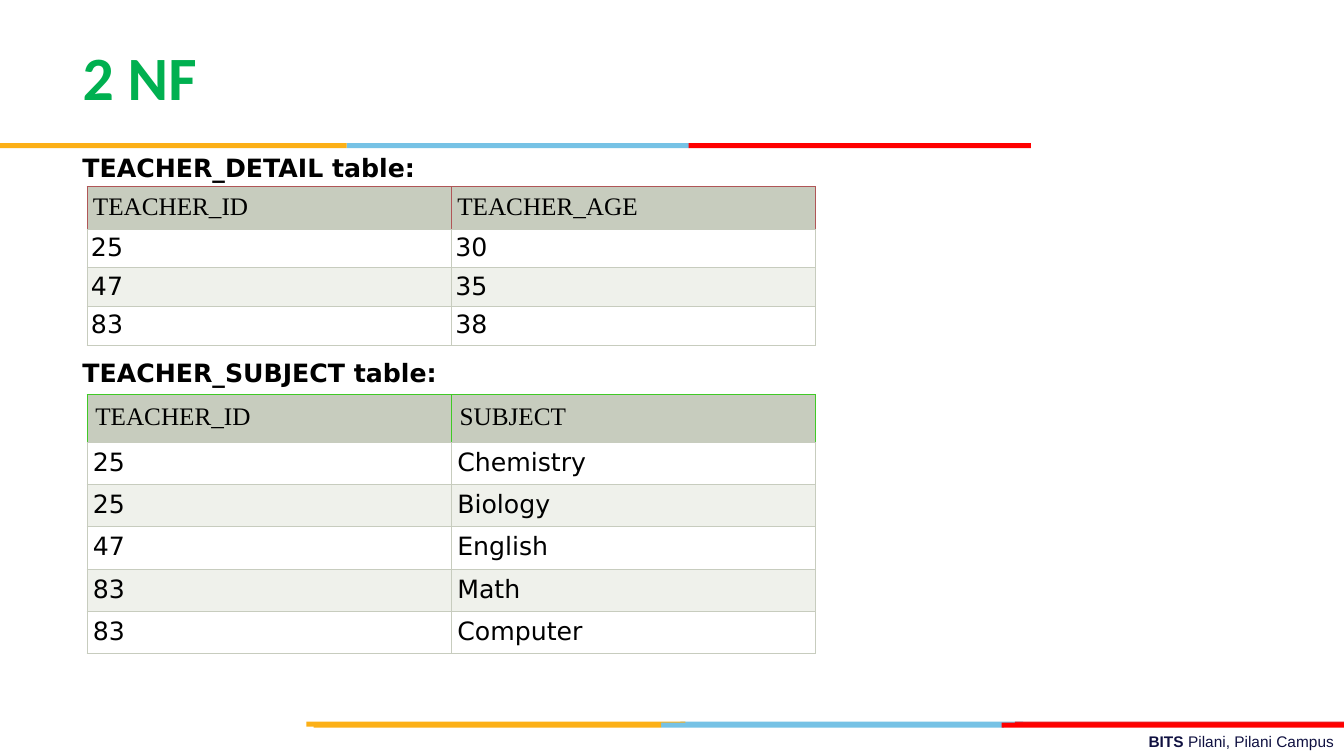
from lxml.etree import SubElement
from pptx import Presentation
from pptx.dml.color import RGBColor
from pptx.enum.shapes import MSO_SHAPE
from pptx.enum.text import MSO_ANCHOR, PP_ALIGN
from pptx.oxml.ns import qn
from pptx.util import Pt

# Content
TITLE = "2 NF"
FOOTER = [("BITS ", True), ("Pilani, Pilani Campus", False)]
CAPTIONS = [("TEACHER_DETAIL table:", 105.1, 262), ("TEACHER_SUBJECT table:", 252, 276)]
TABLES = [
    {"top": 133.4, "header_height": 30, "row_height": 27.65,
     "header_inset": 4.3, "body_inset": 2.9, "header_line": "B05657",
     "rows": [("TEACHER_ID", "TEACHER_AGE"), ("25", "30"), ("47", "35"), ("83", "38")]},
    {"top": 281.9, "header_height": 33.9, "row_height": 29.7,
     "header_inset": 6, "body_inset": 4.3, "header_line": "40C926",
     "rows": [("TEACHER_ID", "SUBJECT"), ("25", "Chemistry"), ("25", "Biology"),
              ("47", "English"), ("83", "Math"), ("83", "Computer")]},
]

# Layout: bars are (left, width, colour), grouped by top edge
YELLOW, BLUE, RED = "FCB017", "76C2E5", "FF0000"
BAR_HEIGHT = 3.6
BARS = [
    (515.5, [(486, 244.8, BLUE), (725, 235, "E31C24"), (218.9, 270.7, YELLOW)]),
    (516.2, [(472.3, 244.8, BLUE), (224, 248.3, YELLOW), (715.5, 244.5, RED)]),
    (102.2, [(247.7, 244.8, BLUE), (0, 247.7, YELLOW), (491.8, 244.5, RED)]),
]
TEXT_LEFT, TABLE_LEFT, COLUMN_WIDTH = 51.8, 62.1, 260.3
HEADER_FILL, BODY_FILLS = "C7CCBE", ("FFFFFF", "EFF1EB")
GRID_LINE = "C7CCBE"

# Text formats
TITLE_FORMAT = {"size": Pt(44), "name": "Calibri", "bold": True, "color": "00B050"}
CAPTION_FORMAT = {"size": Pt(18), "name": "DejaVu Sans", "bold": True, "color": "000000"}
HEADER_FORMAT = {"size": Pt(18), "name": "Times New Roman", "bold": False, "color": "000000"}
BODY_FORMAT = HEADER_FORMAT | {"name": "DejaVu Sans"}
FOOTER_FORMAT = {"size": Pt(11), "name": "Arial", "color": "101141"}


def paint(color_format, color):
    color_format.rgb = RGBColor.from_string(color)


def write(paragraph, text, text_format):
    run = paragraph.add_run()
    run.text = text
    for name, value in text_format.items():
        if name == "color":
            paint(run.font.color, value)
        else:
            setattr(run.font, name, value)


def place(shape, left, top, width, height):
    for name, value in zip(("left", "top", "width", "height"), (left, top, width, height)):
        setattr(shape, name, Pt(value))


def add_text_box(slide, left, top, width, height, wrap):
    text_frame = slide.shapes.add_textbox(Pt(left), Pt(top), Pt(width), Pt(height)).text_frame
    text_frame.word_wrap = wrap
    return text_frame.paragraphs[0]


def set_borders(cell, colors):
    properties = cell._tc.get_or_add_tcPr()
    for position, (side, color) in enumerate(zip("LRTB", colors)):
        line = SubElement(properties, qn(f"a:ln{side}"), w=str(Pt(0.5)))
        fill = SubElement(line, qn("a:solidFill"))
        SubElement(fill, qn("a:srgbClr"), val=color)
        properties.insert(position, line)


def add_data_table(slide, data):
    rows = data["rows"]
    heights = [data["header_height"]] + [data["row_height"]] * (len(rows) - 1)
    table = slide.shapes.add_table(
        len(rows), len(rows[0]), Pt(TABLE_LEFT), Pt(data["top"]),
        Pt(COLUMN_WIDTH * len(rows[0])), Pt(sum(heights))).table
    table.first_row = table.horz_banding = False
    for column in table.columns:
        column.width = Pt(COLUMN_WIDTH)
    for row_index, (values, height) in enumerate(zip(rows, heights)):
        is_header = row_index == 0
        table.rows[row_index].height = Pt(height)
        inset = data["header_inset"] if is_header else data["body_inset"]
        fill = HEADER_FILL if is_header else BODY_FILLS[(row_index - 1) % 2]
        edge = data["header_line"] if is_header else GRID_LINE
        for column_index, value in enumerate(values):
            cell = table.cell(row_index, column_index)
            for side in ("left", "right", "top", "bottom"):
                setattr(cell, f"margin_{side}", Pt(inset))
            cell.fill.solid()
            paint(cell.fill.fore_color, fill)
            set_borders(cell, (edge, edge, edge, GRID_LINE))
            write(cell.text_frame.paragraphs[0], value,
                  HEADER_FORMAT if is_header else BODY_FORMAT)


def main():
    presentation = Presentation()
    presentation.slide_width, presentation.slide_height = Pt(960), Pt(540)
    slide = presentation.slides.add_slide(presentation.slide_layouts[5])

    # Footer
    footer = add_text_box(slide, 344, 519.1, 616, 20.9, True)
    footer.alignment = PP_ALIGN.RIGHT
    for text, bold in FOOTER:
        write(footer, text, FOOTER_FORMAT | {"bold": bold})

    # Coloured bars
    for top, segments in BARS:
        for left, width, color in segments:
            bar = slide.shapes.add_shape(
                MSO_SHAPE.RECTANGLE, Pt(left), Pt(top), Pt(width), Pt(BAR_HEIGHT))
            bar.shadow.inherit = False
            bar.fill.solid()
            paint(bar.fill.fore_color, color)
            bar.line.fill.background()

    # Tables and their captions
    for data in TABLES:
        add_data_table(slide, data)
    for text, top, width in CAPTIONS:
        write(add_text_box(slide, TEXT_LEFT, top, width, 29, False), text, CAPTION_FORMAT)

    # Title
    title = slide.shapes.title
    place(title, TEXT_LEFT, 24.5, 96.5, 60.5)
    title.text_frame.word_wrap = False
    title.text_frame.vertical_anchor = MSO_ANCHOR.TOP
    paragraph = title.text_frame.paragraphs[0]
    paragraph.alignment = PP_ALIGN.LEFT
    write(paragraph, TITLE, TITLE_FORMAT)

    presentation.save("out.pptx")


if __name__ == "__main__":
    main()
